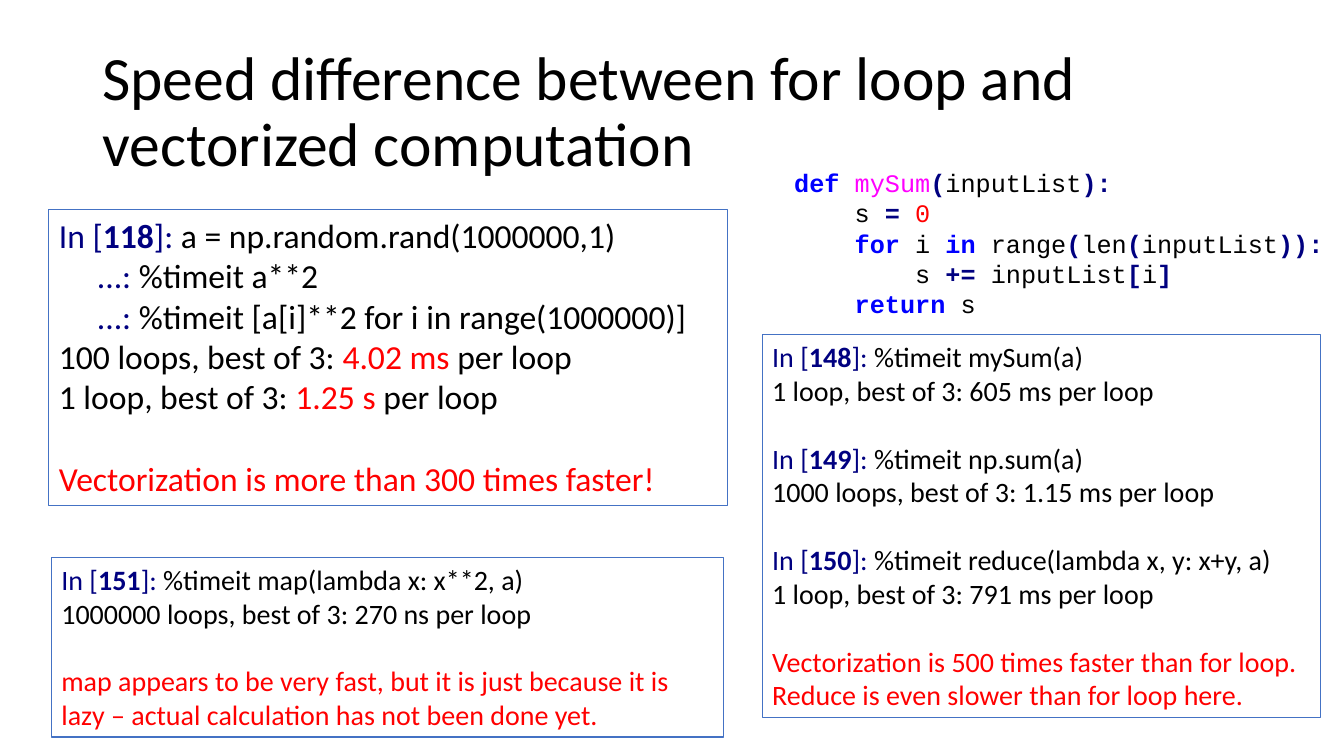
from dataclasses import dataclass
from pptx import Presentation
from pptx.dml.color import RGBColor as Rgb
from pptx.enum.shapes import MSO_SHAPE as Shape
from pptx.enum.text import MSO_ANCHOR as Anchor, MSO_AUTO_SIZE as Fit, PP_ALIGN as Align
from pptx.util import Pt


@dataclass(frozen=True)
class Theme:
    """Colours, fonts and type sizes of the slide."""
    black: str = "000000"
    navy: str = "000080"
    blue: str = "0000FF"
    pink: str = "FF00FF"
    red: str = "FF0000"
    edge: str = "4472C4"
    sans: str = "Calibri"
    mono: str = "Courier New"
    head: int = 44
    large: int = 24
    body: int = 20
    code: int = 18


look = Theme()

# Each run is (text, style); each style is a colour and a weight.
styles = {
    "text": (look.black, False),
    "mark": (look.navy, False),
    "num": (look.navy, True),
    "key": (look.blue, True),
    "name": (look.pink, False),
    "hot": (look.red, False),
}


def prompt(num, code):
    """Return the runs of one numbered input line."""
    return [("In [", "mark"), (num, "num"), ("]:", "mark"), (" " + code, "text")]


def write(shape, lines, size, font=look.sans, step=0, space=1.0,
          anchor=Anchor.TOP, fit=Fit.SHAPE_TO_FIT_TEXT):
    """Fill a shape with lines of (indent level, blank lines above, runs)."""
    frame = shape.text_frame
    frame.word_wrap = True
    frame.auto_size = fit
    frame.vertical_anchor = anchor
    for at, (level, gap, runs) in enumerate(lines):
        para = frame.paragraphs[0] if at == 0 else frame.add_paragraph()
        para.alignment = Align.LEFT
        para.line_spacing = space
        para.space_before = Pt(round(gap * size * 1.22, 1))
        if level:
            para._p.get_or_add_pPr().set("marL", str(Pt(level * step)))
        for text, style in runs:
            run = para.add_run()
            run.text = text
            color, bold = styles[style]
            run.font.name = font
            run.font.size = Pt(size)
            run.font.bold = bold
            run.font.color.rgb = Rgb.from_string(color)


deck = Presentation()
deck.slide_width, deck.slide_height = Pt(960), Pt(540)
slide = deck.slides.add_slide(deck.slide_layouts[6])

title = slide.shapes.add_textbox(Pt(66), Pt(28.75), Pt(828), Pt(104.4))
heading = "Speed difference between for loop and vectorized computation"
write(title, [(0, 0, [(heading, "text")])], look.head, space=0.9,
      anchor=Anchor.MIDDLE, fit=Fit.NONE)

square = [
    (0, 0, prompt("118", "a = np.random.rand(1000000,1)")),
    (1, 0, [("...:", "mark"), (" %timeit a**2", "text")]),
    (1, 0, [("...:", "mark"), (" %timeit [a[i]**2 for i in range(1000000)]", "text")]),
    (0, 0, [("100 loops, best of 3: ", "text"), ("4.02 ms", "hot"), (" per loop", "text")]),
    (0, 0, [("1 loop, best of 3: ", "text"), ("1.25 s", "hot"), (" per loop", "text")]),
    (0, 1, [("Vectorization is more than 300 times faster!", "hot")]),
]

total = []
for num, code, time in [
    ("148", "mySum(a)", "1 loop, best of 3: 605 ms"),
    ("149", "np.sum(a)", "1000 loops, best of 3: 1.15 ms"),
    ("150", "reduce(lambda x, y: x+y, a)", "1 loop, best of 3: 791 ms"),
]:
    total.append((0, 1 if total else 0, prompt(num, "%timeit " + code)))
    total.append((0, 0, [(time + " per loop", "text")]))
total += [
    (0, 1, [("Vectorization is 500 times faster than for loop.", "hot")]),
    (0, 0, [("Reduce is even slower than for loop here.", "hot")]),
]

lazy = [
    (0, 0, prompt("151", "%timeit map(lambda x: x**2, a)")),
    (0, 0, [("1000000 loops, best of 3: 270 ns per loop", "text")]),
    (0, 1, [("map appears to be very fast, but it is just because it is lazy "
             "– actual calculation has not been done yet.", "hot")]),
]

for left, top, width, height, lines, size in [
    (35, 150, 484.5, 211, square, look.large),
    (544.5, 239.25, 399, 273.6, total, look.body),
    (36.75, 398.25, 480, 128.2, lazy, look.body),
]:
    box = slide.shapes.add_shape(Shape.RECTANGLE, Pt(left), Pt(top), Pt(width), Pt(height))
    box.shadow.inherit = False
    box.fill.background()
    box.line.color.rgb = Rgb.from_string(look.edge)
    box.line.width = Pt(0.75)
    write(box, lines, size, step=27.1)

loop = [
    (0, 0, [("def ", "key"), ("mySum", "name"), ("(", "num"), ("inputList", "text"),
            ("):", "num")]),
    (1, 0, [("s ", "text"), ("= ", "num"), ("0", "hot")]),
    (1, 0, [("for ", "key"), ("i ", "text"), ("in", "key"), (" range", "text"),
            ("(", "num"), ("len", "text"), ("(", "num"), ("inputList", "text"),
            (")):", "num")]),
    (2, 0, [("s ", "text"), ("+= ", "num"), ("inputList", "text"), ("[", "num"),
            ("i", "text"), ("]", "num")]),
    (1, 0, [("return", "key"), (" s", "text")]),
]
source = slide.shapes.add_textbox(Pt(560.2), Pt(116), Pt(399.6), Pt(116.6))
write(source, loop, look.code, font=look.mono, step=43.2)

deck.save("out.pptx")
